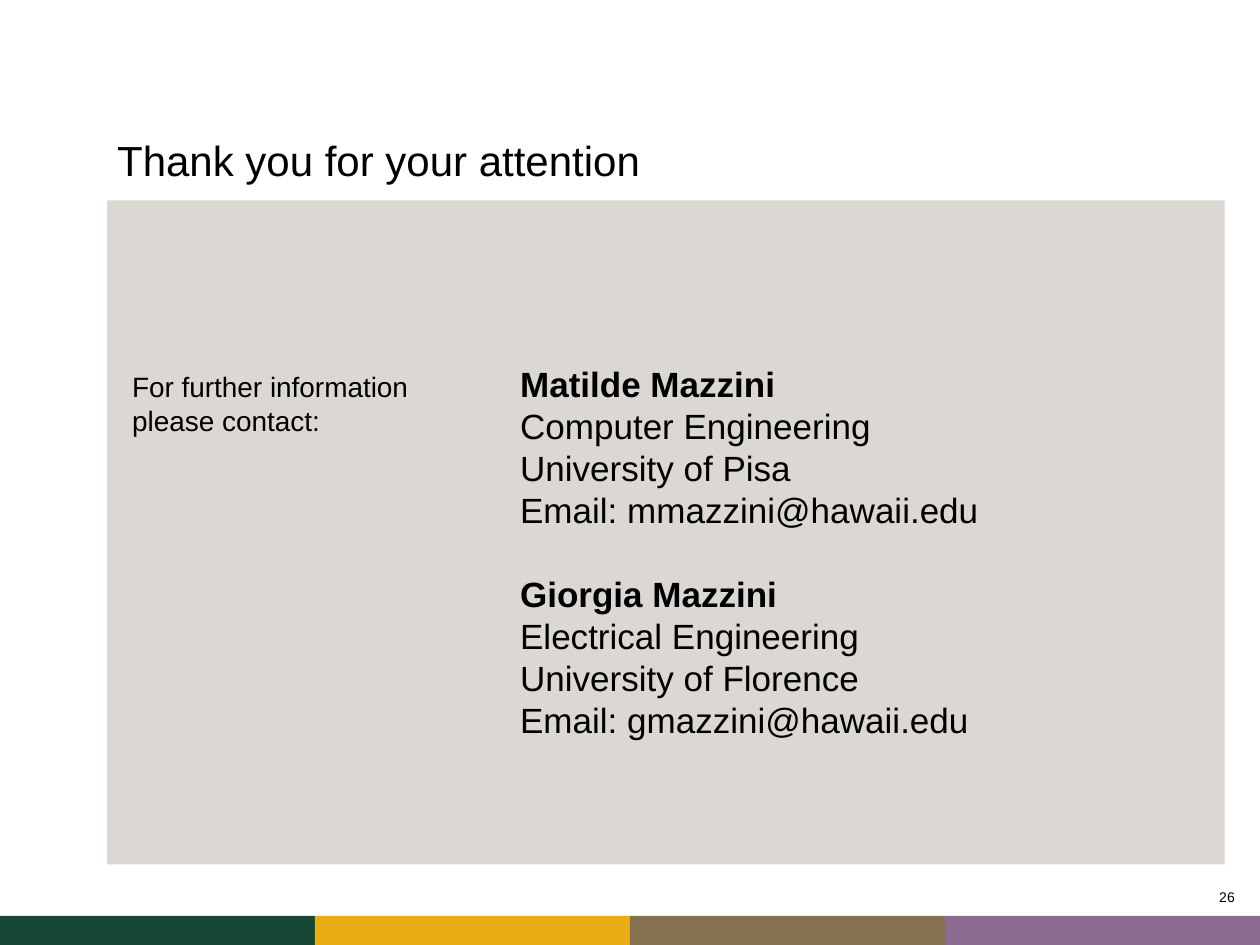
from pptx import Presentation
from pptx.dml.color import RGBColor
from pptx.enum.shapes import MSO_SHAPE
from pptx.enum.text import MSO_ANCHOR, MSO_AUTO_SIZE, PP_ALIGN
from pptx.util import Inches, Pt

COLS, ROWS = 100, 75
UNIT = Inches(10) / COLS
HUES = {
    "text": "000000",
    "panel": "DBD7D3",
    "green": "154734",
    "gold": "EBAD14",
    "brown": "85714D",
    "plum": "8B6C90",
}
PEOPLE = [
    ["Matilde Mazzini", "Computer Engineering", "University of Pisa",
     "Email: mmazzini@hawaii.edu"],
    ["Giorgia Mazzini", "Electrical Engineering", "University of Florence",
     "Email: gmazzini@hawaii.edu"],
]


def scale(box):
    return [round(side * UNIT) for side in box]


def inner(box, x, y, w, h):
    return box[0] + x, box[1] + y, w, h


def style(para, size, bold=False, align=PP_ALIGN.LEFT):
    para.alignment = align
    for run in para.runs:
        font = run.font
        font.name, font.size, font.bold = "Arial", Pt(size), bold
        font.color.rgb = RGBColor.from_string(HUES["text"])


def add_rect(slide, box, hue):
    rect = slide.shapes.add_shape(MSO_SHAPE.RECTANGLE, *scale(box))
    rect.shadow.inherit = False
    rect.fill.solid()
    rect.fill.fore_color.rgb = RGBColor.from_string(HUES[hue])
    rect.line.fill.background()


def add_text(slide, box, grow=True):
    frame = slide.shapes.add_textbox(*scale(box)).text_frame
    frame.word_wrap = True
    if grow:
        frame.auto_size = MSO_AUTO_SIZE.SHAPE_TO_FIT_TEXT
    return frame


def add_title(slide, box):
    title = slide.shapes.title
    title.left, title.top, title.width, title.height = scale(box)
    frame = title.text_frame
    frame.text = "Thank you for your attention"
    frame.vertical_anchor = MSO_ANCHOR.MIDDLE
    style(frame.paragraphs[0], 24)


def add_panel(slide, box):
    add_rect(slide, box, "panel")
    note = add_text(slide, inner(box, 1, 12.9, 28.6, 6.4))
    note.text = "For further information please contact:"
    note.vertical_anchor = MSO_ANCHOR.MIDDLE
    style(note.paragraphs[0], 16)

    cards = add_text(slide, inner(box, 31.8, 12.4, 56, 31.3))
    cards.text = "\n".join(line for card in PEOPLE for line in card)
    for i, para in enumerate(cards.paragraphs):
        head = i % len(PEOPLE[0]) == 0
        style(para, 20, bold=head)
        if head and i:
            para.space_before = Pt(24)


def add_footer(slide, box):
    left, top, width, height = box
    page = add_text(slide, (77.5, top - 2.7, 22.5, 2.5), grow=False)
    page.margin_right = Inches(0.2)
    page.text = "26"
    style(page.paragraphs[0], 8, align=PP_ALIGN.RIGHT)
    hues = ["green", "gold", "brown", "plum"]
    step = width / len(hues)
    for i, hue in enumerate(hues):
        add_rect(slide, (left + i * step, top, step, height), hue)


def main():
    deck = Presentation()
    deck.slide_width, deck.slide_height = scale((COLS, ROWS))
    slide = deck.slides.add_slide(deck.slide_layouts[5])
    add_title(slide, (8.3, 7.7, 66.7, 10))
    add_panel(slide, (8.5, 15.9, 88.7, 52.7))
    add_footer(slide, (0, 72.7, COLS, 2.3))
    deck.save("out.pptx")


if __name__ == "__main__":
    main()
